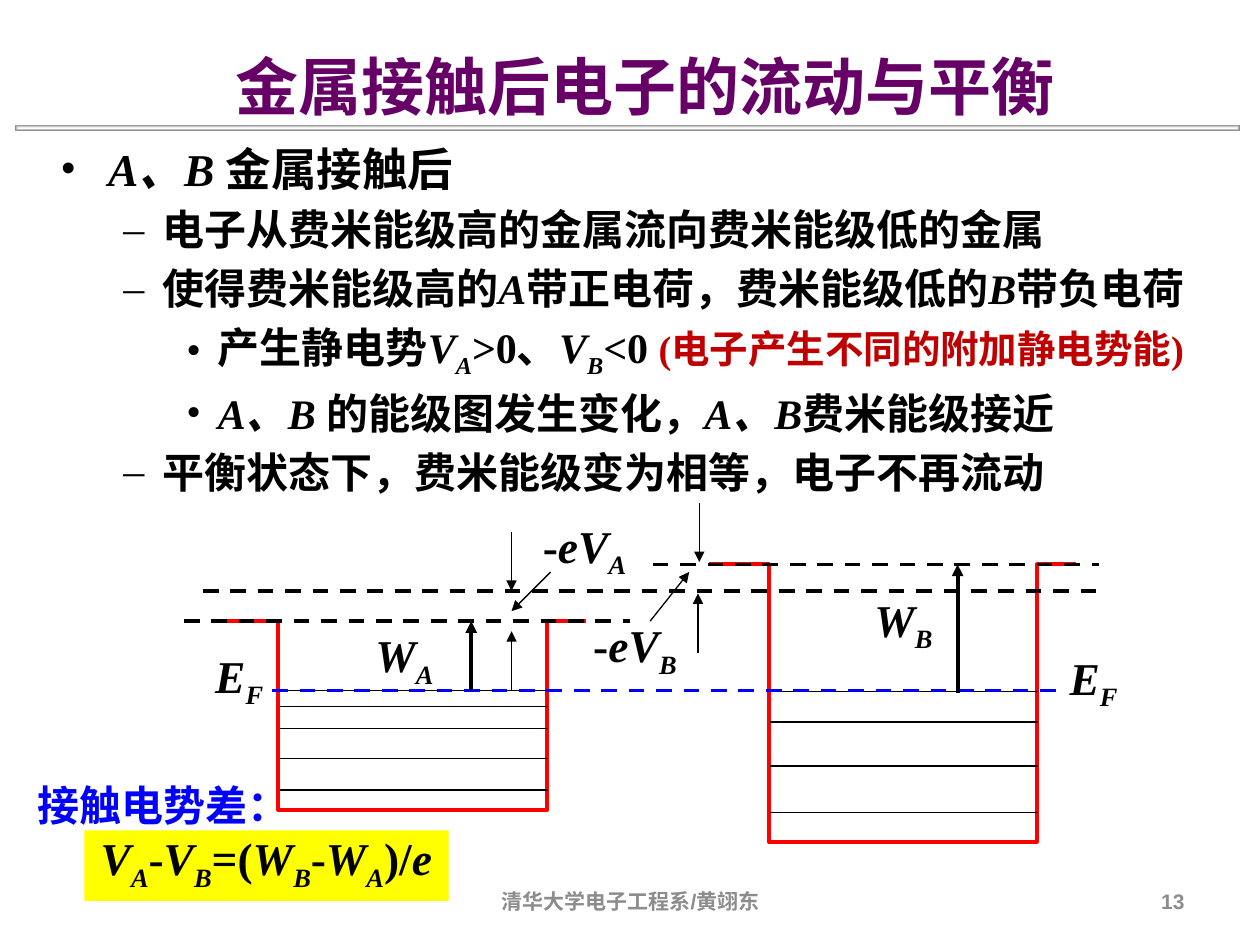
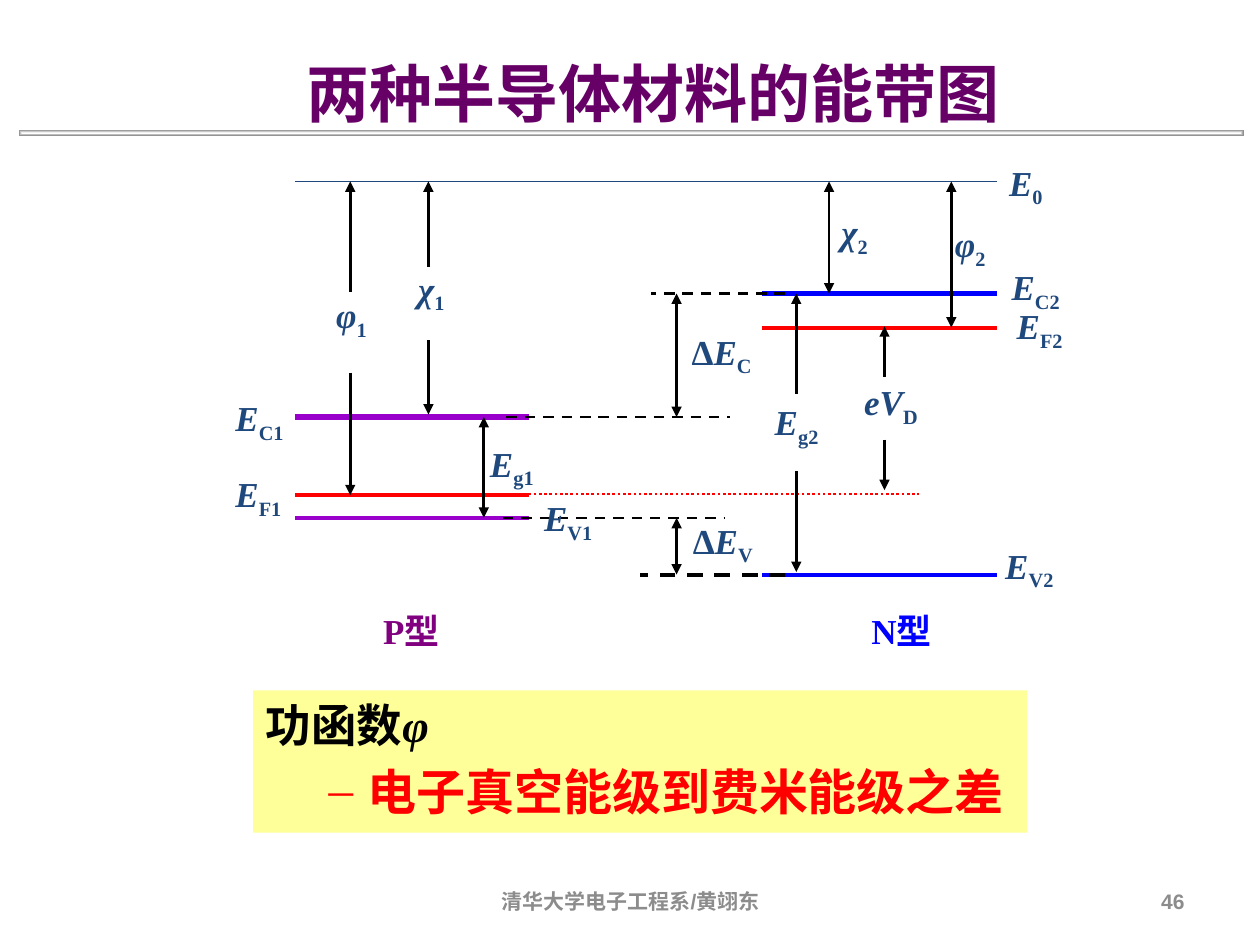
import pptx
import pptx.dml.color
import pptx.enum.dml
import pptx.enum.lang
import pptx.enum.shapes
import pptx.enum.text
import pptx.oxml.ns
import pptx.util
from lxml import etree

PX = 9144  # 100 px to the inch

RGBColor = pptx.dml.color.RGBColor
BLACK = RGBColor(0x00, 0x00, 0x00)
WHITE = RGBColor(0xFF, 0xFF, 0xFF)
GRAY = RGBColor(0x80, 0x80, 0x80)
FOOTER_GRAY = RGBColor(0x8C, 0x8C, 0x8C)
TITLE_PURPLE = RGBColor(0x66, 0x00, 0x66)
LEVEL_PURPLE = RGBColor(0x99, 0x00, 0xCC)
LABEL_PURPLE = RGBColor(0x80, 0x00, 0x80)
NAVY = RGBColor(0x1F, 0x49, 0x7D)
BLUE = RGBColor(0x00, 0x00, 0xFF)
RED = RGBColor(0xFF, 0x00, 0x00)
DARK_RED = RGBColor(0xC0, 0x00, 0x00)
YELLOW = RGBColor(0xFF, 0xFF, 0x00)
PALE_YELLOW = RGBColor(0xFF, 0xFF, 0x99)

SERIF = "Times New Roman"
SANS = "Arial"
FOOTER = "清华大学电子工程系/黄翊东"

ALIGN = pptx.enum.text.PP_ALIGN
ANCHOR = pptx.enum.text.MSO_ANCHOR
AUTO_SIZE = pptx.enum.text.MSO_AUTO_SIZE
DASH = pptx.enum.dml.MSO_LINE.DASH
DOTS = pptx.enum.dml.MSO_LINE.ROUND_DOT
CHINESE = pptx.enum.lang.MSO_LANGUAGE_ID.SIMPLIFIED_CHINESE

# Outline level: left margin and first-line indent in px
INDENTS = [(38, -38), (81, -31), (125, -25)]


def emu(*lengths):
    return [pptx.util.Emu(length * PX) for length in lengths]


def add_child(parent, tag, **attributes):
    return etree.SubElement(parent, pptx.oxml.ns.qn(tag), attributes)


def add_runs(paragraph, text, size, color, font=SERIF):
    """Add text in which *...* is italic and _..._ is subscript."""
    for i, part in enumerate(text.split("*")):
        for j, piece in enumerate(part.split("_")):
            if not piece:
                continue
            run = paragraph.add_run()
            run.text = piece
            run.font.name = font
            run.font.size = pptx.util.Pt(size)
            run.font.bold = True
            run.font.italic = i % 2 == 1
            run.font.color.rgb = color
            run.font.language_id = CHINESE
            if j % 2:
                run.font._element.set("baseline", "-25000")


def set_layout(paragraph, margin=0, indent=0, space_percent=0, bullet=None):
    properties = paragraph._p.get_or_add_pPr()
    properties.set("marL", str(margin * PX))
    properties.set("indent", str(indent * PX))
    if space_percent:
        spacing = add_child(properties, "a:spcBef")
        add_child(spacing, "a:spcPct", val=str(space_percent * 1000))
    if bullet:
        add_child(properties, "a:buFont", typeface=SERIF)
        add_child(properties, "a:buChar", char=bullet)
    else:
        add_child(properties, "a:buNone")


def add_outline(text_frame, items):
    """Write items of (level, bullet, [(text, size, color), ...])."""
    for number, (level, bullet, pieces) in enumerate(items):
        paragraph = text_frame.add_paragraph() if number else text_frame.paragraphs[0]
        paragraph.level = level
        paragraph.alignment = ALIGN.LEFT
        set_layout(paragraph, *INDENTS[level], space_percent=20, bullet=bullet)
        for piece in pieces:
            add_runs(paragraph, *piece)


def add_text_box(slide, left, top, width, height, wrap=True):
    shape = slide.shapes.add_textbox(*emu(left, top, width, height))
    shape.text_frame.word_wrap = wrap
    return shape.text_frame


def add_label(slide, box, text, size=20, color=NAVY, align=ALIGN.LEFT,
              wrap=True, space_percent=50):
    text_frame = add_text_box(slide, *box, wrap=wrap)
    text_frame.auto_size = AUTO_SIZE.SHAPE_TO_FIT_TEXT
    paragraph = text_frame.paragraphs[0]
    paragraph.alignment = align
    set_layout(paragraph, space_percent=space_percent)
    add_runs(paragraph, text, size, color)


def add_rectangle(slide, box, color):
    rectangle = pptx.enum.shapes.MSO_SHAPE.RECTANGLE
    shape = slide.shapes.add_shape(rectangle, *emu(*box))
    shape.shadow.inherit = False
    shape.fill.solid()
    shape.fill.fore_color.rgb = color
    shape.line.fill.background()
    return shape


def add_line(slide, x1, y1, x2, y2, color=BLACK, width=0.75, dash=None, arrows=""):
    """Draw a line; arrows holds "<" for a head at its start, ">" at its end."""
    straight = pptx.enum.shapes.MSO_CONNECTOR.STRAIGHT
    connector = slide.shapes.add_connector(straight, *emu(x1, y1, x2, y2))
    line = connector.line
    line.color.rgb = color
    line.width = pptx.util.Pt(width)
    if dash:
        line.dash_style = dash
    line_element = line._get_or_add_ln()
    for mark, tag in (("<", "a:headEnd"), (">", "a:tailEnd")):
        if mark in arrows:
            add_child(line_element, tag, type="triangle")
    add_child(connector._element.spPr, "a:effectLst")


def add_well(slide, left, top, bottom):
    """Draw a potential well with a short rim on both sides."""
    wall, far_wall, end = left + 47, left + 260, left + 291
    points = [(wall, top), (wall, bottom), (far_wall, bottom), (far_wall, top), (end, top)]
    builder = slide.shapes.build_freeform(left * PX, top * PX)
    builder.add_line_segments([emu(*point) for point in points], close=False)
    shape = builder.convert_to_shape()
    shape.shadow.inherit = False
    shape.fill.background()
    shape.line.color.rgb = RED
    shape.line.width = pptx.util.Pt(2.25)


def add_levels(slide, left, heights):
    for y in heights:
        add_line(slide, left, y, left + 213, y)


def add_title_bar(slide, left, top):
    bar = add_rectangle(slide, (left, top, 972, 5), WHITE)
    bar.fill.gradient()
    for stop, color in zip(bar.fill.gradient_stops, (WHITE, GRAY)):
        stop.color.rgb = color
    gradient = bar._element.spPr.find(pptx.oxml.ns.qn("a:gradFill"))
    gradient.remove(gradient.find(pptx.oxml.ns.qn("a:lin")))
    shading = add_child(gradient, "a:path")
    shading.set("path", "shape")
    add_child(shading, "a:fillToRect", l="50000", t="50000", r="50000", b="50000")


def add_footer_text(slide, left, width, text, align):
    text_frame = add_text_box(slide, left, 695, width, 40)
    text_frame.vertical_anchor = ANCHOR.MIDDLE
    text_frame.paragraphs[0].alignment = align
    add_runs(text_frame.paragraphs[0], text, 12, FOOTER_GRAY, SANS)


def start_slide(presentation, title, title_box, bar_left, bar_top, number):
    slide = presentation.slides.add_slide(presentation.slide_layouts[5])
    shape = slide.shapes.title
    shape.left, shape.top, shape.width, shape.height = emu(*title_box)
    shape.fill.solid()
    shape.fill.fore_color.rgb = WHITE
    text_frame = shape.text_frame
    text_frame.auto_size = AUTO_SIZE.NONE
    text_frame.vertical_anchor = ANCHOR.MIDDLE
    text_frame.paragraphs[0].alignment = ALIGN.LEFT
    add_runs(text_frame.paragraphs[0], title, 36, TITLE_PURPLE)
    add_title_bar(slide, bar_left, bar_top)
    add_footer_text(slide, 342, 317, FOOTER, ALIGN.CENTER)
    add_footer_text(slide, 717, 233, str(number), ALIGN.RIGHT)
    return slide


def add_contact_slide(presentation):
    slide = start_slide(presentation, "金属接触后电子的流动与平衡", (177, 29, 812, 78), 12, 99, 13)
    add_outline(add_text_box(slide, 38, 107, 962, 284), [
        (0, "•", [("*A、B *金属接触后", 26, BLACK)]),
        (1, "–", [("电子从费米能级高的金属流向费米能级低的金属", 24, BLACK)]),
        (1, "–", [("使得费米能级高的*A*带正电荷，费米能级低的*B*带负电荷", 24, BLACK)]),
        (2, "•", [("产生静电势*V_A_*>0、*V_B_*<0 ", 24, BLACK),
                  ("(电子产生不同的附加静电势能)", 22, DARK_RED)]),
        (2, "•", [("*A、B *的能级图发生变化，*A、B*费米能级接近", 24, BLACK)]),
        (1, "–", [("平衡状态下，费米能级变为相等，电子不再流动", 24, BLACK)]),
    ])

    add_rectangle(slide, (67, 659, 289, 56), YELLOW)
    formula_frame = add_text_box(slide, 20, 614, 339, 94, wrap=False)
    add_runs(formula_frame.paragraphs[0], "接触电势差：", 24, BLUE)
    formula = formula_frame.add_paragraph()
    set_layout(formula, margin=50)
    add_runs(formula, "*V_A_*-*V_B_*=(*W_B_*-*W_A_*)/*e*", 26, BLACK)

    add_well(slide, 174, 493, 643)
    add_levels(slide, 222, (627, 602, 578, 561, 548))
    add_well(slide, 563, 448, 668)
    add_levels(slide, 611, (645, 608, 573, 549))

    for x1, y, x2, color in [
        (161, 469, 870, BLACK), (518, 448, 872, BLACK),
        (146, 493, 500, BLACK), (216, 548, 839, BLUE),
    ]:
        add_line(slide, x1, y, x2, y, color, 2.25, DASH)
    for x, bottom, top in [(374, 548, 493), (760, 550, 448)]:
        add_line(slide, x, bottom, x, top, width=2.25, arrows=">")
    for ends in [
        (555, 399, 555, 446), (406, 422, 406, 469), (406, 548, 406, 501),
        (554, 518, 554, 471), (516, 493, 547, 454), (437, 454, 406, 485),
    ]:
        add_line(slide, *ends, arrows=">")

    for left, top, width, text in [
        (161, 509, 60, "*E_F_*"), (839, 511, 60, "*E_F_*"),
        (288, 493, 68, "*W_A_*"), (684, 465, 68, "*W_B_*"),
        (421, 406, 86, "-*eV_A_*"), (461, 485, 89, "-*eV_B_*"),
    ]:
        add_label(slide, (left, top, width, 53), text, 26, BLACK, wrap=False, space_percent=0)


def add_band_slide(presentation):
    slide = start_slide(presentation, "两种半导体材料的能带图", (233, 11, 653, 125), 15, 103, 46)
    add_line(slide, 234, 144, 791, 144, NAVY)
    for left, y, color, width in [
        (234, 331, LEVEL_PURPLE, 3), (234, 411, LEVEL_PURPLE, 2.25), (234, 393, RED, 2.25),
        (605, 233, BLUE, 3), (605, 260, RED, 2.25), (605, 456, BLUE, 2.25),
    ]:
        add_line(slide, left, y, left + 186, y, color, width)
    for x1, y, x2, width in [
        (623, 233, 517, 1.5), (402, 331, 579, 1.5), (399, 411, 575, 1.5), (623, 456, 508, 2.25),
    ]:
        add_line(slide, x1, y, x2, y, width=width, dash=DASH)
    add_line(slide, 411, 392, 729, 392, RED, 1.5, DOTS)

    for x, top, bottom, arrows in [
        (658, 144, 233, "<>"), (755, 144, 260, "<>"), (537, 411, 456, "<>"),
        (537, 233, 331, "<>"), (384, 331, 411, "<>"),
        (632, 233, 313, "<"), (632, 374, 454, ">"),
        (340, 144, 212, "<"), (340, 270, 329, ">"),
        (278, 144, 232, "<"), (278, 296, 393, ">"),
        (702, 259, 299, "<"), (702, 349, 389, ">"),
    ]:
        add_line(slide, x, top, x, bottom, width=1.5, arrows=arrows)

    for left, top, width, text in [
        (257, 228, 53, "*φ*_1_"), (322, 207, 53, "*χ*_1_"),
        (658, 162, 53, "*χ*_2_"), (748, 172, 53, "*φ*_2_"),
        (379, 346, 62, "*E*_g1_"), (605, 313, 62, "*E*_g2_"),
        (539, 257, 71, "Δ*E*_C_"), (540, 407, 74, "Δ*E*_V_"),
        (177, 370, 62, "*E*_F1_"), (797, 237, 62, "*E*_F2_"),
        (791, 123, 62, "*E*_0_"), (676, 297, 80, "*eV*_D_"),
        (422, 389, 80, "*E*_V1_"), (788, 427, 80, "*E*_V2_"),
        (177, 310, 71, "*E*_C1_"), (793, 206, 71, "*E*_C2_"),
    ]:
        add_label(slide, (left, top, width, 43), text)
    for left, text, color in [(278, "P型", LABEL_PURPLE), (667, "N型", BLUE)]:
        add_label(slide, (left, 479, 97, 43), text, color=color, align=ALIGN.CENTER)

    definition = add_rectangle(slide, (201, 548, 614, 113), PALE_YELLOW).text_frame
    definition.word_wrap = True
    definition.vertical_anchor = ANCHOR.TOP
    add_outline(definition, [
        (0, None, [("功函数*φ*", 26, BLACK)]),
        (1, "–", [("电子真空能级到费米能级之差", 28, RED)]),
    ])


def main():
    presentation = pptx.Presentation()
    presentation.slide_width, presentation.slide_height = emu(1000, 750)
    add_contact_slide(presentation)
    add_band_slide(presentation)
    presentation.save("out.pptx")


if __name__ == "__main__":
    main()
